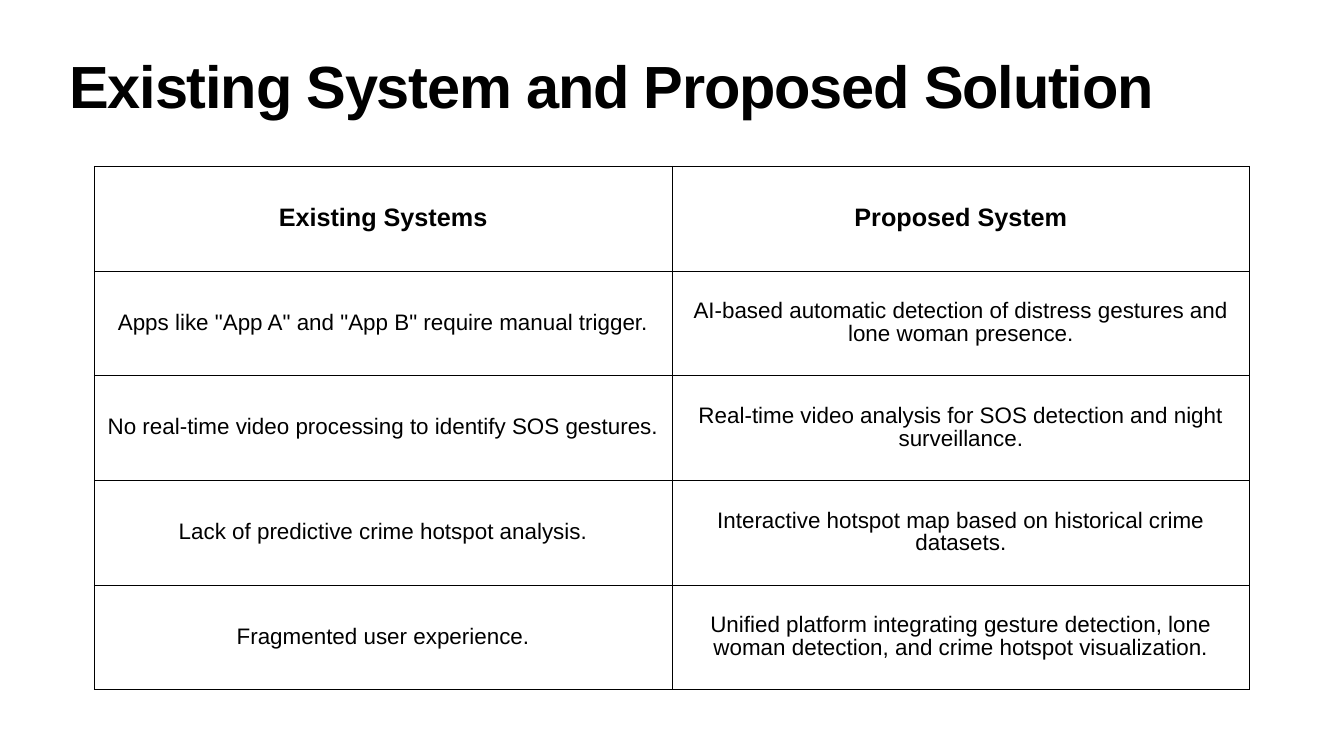
from lxml import etree
from pptx import Presentation
from pptx.dml.color import RGBColor
from pptx.enum import text
from pptx.oxml import ns
from pptx.util import Cm, Pt

BLACK = RGBColor(0x00, 0x00, 0x00)
WHITE = RGBColor(0xFF, 0xFF, 0xFF)

TITLE = "Existing System and Proposed Solution"
COMPARISON = [
    ("Existing Systems", "Proposed System"),
    ('Apps like "App A" and "App B" require manual trigger.',
     "AI-based automatic detection of distress gestures and lone woman presence."),
    ("No real-time video processing to identify SOS gestures.",
     "Real-time video analysis for SOS detection and night surveillance."),
    ("Lack of predictive crime hotspot analysis.",
     "Interactive hotspot map based on historical crime datasets."),
    ("Fragmented user experience.",
     "Unified platform integrating gesture detection, lone woman detection, "
     "and crime hotspot visualization."),
]


def write(frame, words, size, bold=False, align=text.PP_ALIGN.LEFT,
          line=1.0, before=0, tracking=0, font="Arial", color=BLACK):
    """Fill the first paragraph of a text frame; tracking is in points."""
    para = frame.paragraphs[0]
    para.alignment = align
    para.line_spacing = line
    para.space_before = Pt(before)
    span = para.add_run()
    span.text = words
    span.font.name = font
    span.font.size = Pt(size)
    span.font.bold = bold
    span.font.color.rgb = color
    if tracking:
        span._r.get_or_add_rPr().set("spc", str(round(tracking * 100)))


def set_margins(holder, margin):
    holder.margin_left = holder.margin_right = margin
    holder.margin_top = holder.margin_bottom = margin


def add_borders(cell, color, width):
    properties = cell._tc.get_or_add_tcPr()
    for side in ("lnL", "lnR", "lnT", "lnB"):
        border = etree.SubElement(properties, ns.qn(f"a:{side}"), w=str(Pt(width)))
        fill = etree.SubElement(border, ns.qn("a:solidFill"))
        etree.SubElement(fill, ns.qn("a:srgbClr"), val=str(color))


class Slide:
    title_size, header_size, body_size = 85, 36, 32

    def __init__(self, page):
        self.page = page

    def title(self, words, left, top, width, height):
        box = self.page.shapes.add_textbox(left, top, width, height)
        frame = box.text_frame
        frame.word_wrap = True
        frame.vertical_anchor = text.MSO_ANCHOR.TOP
        set_margins(frame, Cm(0.15))
        write(frame, words, self.title_size, bold=True, line=0.8, tracking=-1.7)

    def table(self, rows, left, top, width, height):
        table = self.page.shapes.add_table(
            len(rows), len(rows[0]), left, top, width, height).table
        for row, entries in enumerate(rows):
            header = row == 0
            for column, words in enumerate(entries):
                cell = table.cell(row, column)
                add_borders(cell, BLACK, 1)
                cell.fill.solid()
                cell.fill.fore_color.rgb = WHITE
                cell.vertical_anchor = text.MSO_ANCHOR.MIDDLE
                set_margins(cell, 0)
                write(cell.text_frame, words,
                      self.header_size if header else self.body_size,
                      bold=header, align=text.PP_ALIGN.CENTER, line=0.9, before=45)


def main():
    deck = Presentation()
    deck.slide_width, deck.slide_height = Cm(67.74), Cm(38.1)
    slide = Slide(deck.slides.add_slide(deck.slide_layouts[6]))
    slide.title(TITLE, Cm(3.35), Cm(3), Cm(61.04), Cm(4))
    slide.table(COMPARISON, Cm(4.75), Cm(8.38), Cm(58.24), Cm(26.37))
    deck.save("out.pptx")


if __name__ == "__main__":
    main()
